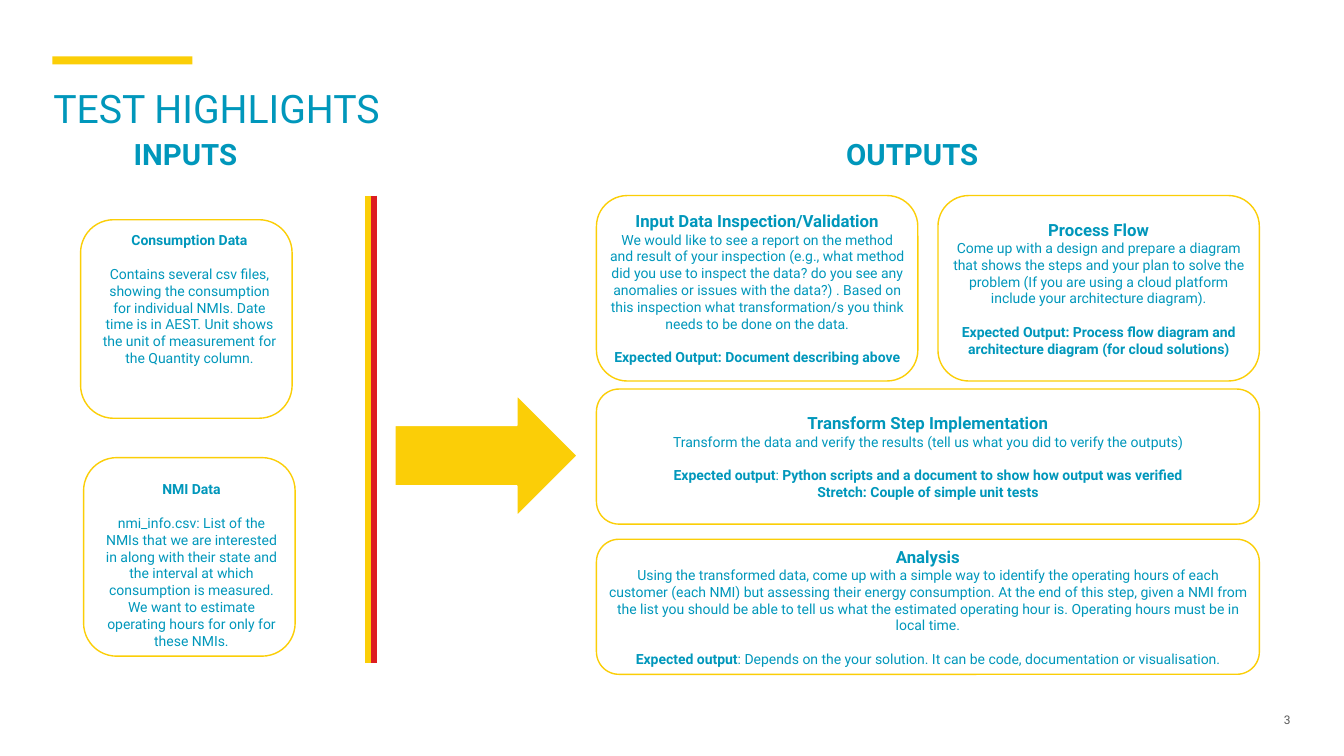
import pptx
import pptx.dml.color
import pptx.enum.shapes
import pptx.enum.text
import pptx.util

PX = 9144
FONT = "Roboto"
TEAL, YELLOW, RED, WHITE, GREY = "0097BB", "FBCE07", "DD1D21", "FFFFFF", "595959"
BLANK_LINE = 12

SHAPE = pptx.enum.shapes.MSO_SHAPE
ALIGN = pptx.enum.text.PP_ALIGN
ANCHOR = pptx.enum.text.MSO_ANCHOR

INPUTS = [
    ((80, 218), (92, 225, 192, 145), "Consumption Data",
     "Contains several csv files, showing the consumption for individual NMIs. "
     "Date time is in AEST. Unit shows the unit of measurement for the Quantity column."),
    ((83, 454), (94, 472, 192, 195), "NMI Data",
     "nmi_info.csv: List of the NMIs that we are interested in along with their state "
     "and the interval at which consumption is measured. We want to estimate operating "
     "hours for only for these NMIs."),
]

OUTPUTS = [
    ((592, 194, 319, 184), "Input Data Inspection/Validation",
     "We would like to see a report on the method and result of your inspection "
     "(e.g., what method did you use to inspect the data? do you see any anomalies or "
     "issues with the data?) . Based on this inspection what transformation/s you think "
     "needs to be done on the data.",
     [[("Expected Output: Document describing above", True)]]),
    ((931, 194, 319, 184), "Process Flow",
     "Come up with a design and prepare a diagram that shows the steps and your plan to "
     "solve the problem (If you are using a cloud platform include your architecture diagram).",
     [[("Expected Output: Process flow diagram and architecture diagram "
        "(for cloud solutions)", True)]]),
    ((592, 386, 658, 134), "Transform Step Implementation",
     "Transform the data and verify the results (tell us what you did to verify the outputs)",
     [[("Expected output", True), (": ", False),
       ("Python scripts and a document to show how output was verified", True)],
      [("Stretch: Couple of simple unit tests", True)]]),
    ((592, 535, 658, 134), "Analysis",
     "Using the transformed data, come up with a simple way to identify the operating "
     "hours of each customer (each NMI) but assessing their energy consumption. At the "
     "end of this step, given a NMI from the list you should be able to tell us what the "
     "estimated operating hour is. Operating hours must be in local time.",
     [[("Expected output", True),
       (": Depends on the your solution. It can be code, documentation or visualisation.",
        False)]]),
]


def colour(value):
    return pptx.dml.color.RGBColor.from_string(value)


def emu(*lengths):
    return [length * PX for length in lengths]


def set_margins(frame, across, down):
    frame.margin_left = frame.margin_right = across * PX
    frame.margin_top = frame.margin_bottom = down * PX


def write(frame, lines, align=ALIGN.CENTER, ink=TEAL):
    for index, (pieces, size, gap) in enumerate(lines):
        paragraph = frame.paragraphs[0] if index == 0 else frame.add_paragraph()
        paragraph.alignment = align
        if gap:
            paragraph.space_before = pptx.util.Pt(gap)
        for words, bold in pieces:
            run = paragraph.add_run()
            run.text = words
            run.font.name = FONT
            run.font.size = pptx.util.Pt(size)
            run.font.bold = bold
            run.font.color.rgb = colour(ink)


def add_block(slide, kind, box, fill, outline=None):
    block = slide.shapes.add_shape(kind, *emu(*box))
    block.shadow.inherit = False
    block.fill.solid()
    block.fill.fore_color.rgb = colour(fill)
    if outline:
        block.line.color.rgb = colour(outline)
        block.line.width = pptx.util.Pt(1)
    else:
        block.line.fill.background()
    return block


def add_label(slide, box, lines, wrap=True, margins=(10, 5), anchor=ANCHOR.TOP, **style):
    frame = slide.shapes.add_textbox(*emu(*box)).text_frame
    frame.word_wrap = wrap
    frame.vertical_anchor = anchor
    set_margins(frame, *margins)
    write(frame, lines, **style)


def add_divider(slide, x, ink):
    divider = slide.shapes.add_connector(
        pptx.enum.shapes.MSO_CONNECTOR.STRAIGHT, *emu(x, 194, x, 658))
    divider.line.color.rgb = colour(ink)
    divider.line.width = pptx.util.Pt(4.5)
    divider._element.spPr.append(pptx.oxml.xmlchemy.OxmlElement("a:effectLst"))


def add_input(slide, corner, text_box, heading, body):
    add_block(slide, SHAPE.ROUNDED_RECTANGLE, (*corner, 210, 197), WHITE, YELLOW)
    add_label(slide, text_box,
              [([(heading, True)], 10, 0), ([(body, False)], 10, BLANK_LINE)])


def add_output(slide, box, heading, body, results):
    frame = add_block(slide, SHAPE.ROUNDED_RECTANGLE, box, WHITE, YELLOW).text_frame
    frame.word_wrap = True
    frame.vertical_anchor = ANCHOR.MIDDLE
    set_margins(frame, 4, 5)
    lines = [([(heading, True)], 12, 0), ([(body, False)], 10, 0)]
    lines += [(pieces, 10, 0 if index else BLANK_LINE)
              for index, pieces in enumerate(results)]
    write(frame, lines)


def main():
    deck = pptx.Presentation()
    deck.slide_width, deck.slide_height = emu(1334, 750)
    slide = deck.slides.add_slide(deck.slide_layouts[6])

    add_block(slide, SHAPE.RECTANGLE, (52, 56, 139, 8), YELLOW)
    add_label(slide, (53, 84, 1228, 87), [([("TEST HIGHLIGHTS", False)], 28, 0)],
              margins=(0, 0), align=ALIGN.LEFT)
    add_label(slide, (1224, 702, 57, 24), [([("3", False)], 8.5, 0)],
              margins=(0, 0), anchor=ANCHOR.MIDDLE, align=ALIGN.RIGHT, ink=GREY)
    for heading, box in (("INPUTS", (122, 130, 124, 45)),
                         ("OUTPUTS", (829, 130, 153, 45))):
        add_label(slide, box, [([(heading, True)], 21, 0)], wrap=False)

    for x, ink in ((365, YELLOW), (371, RED)):
        add_divider(slide, x, ink)
    add_block(slide, SHAPE.RIGHT_ARROW, (392, 392, 181, 120), YELLOW, WHITE)

    for source in INPUTS:
        add_input(slide, *source)
    for output in OUTPUTS:
        add_output(slide, *output)

    deck.save("out.pptx")


if __name__ == "__main__":
    main()
